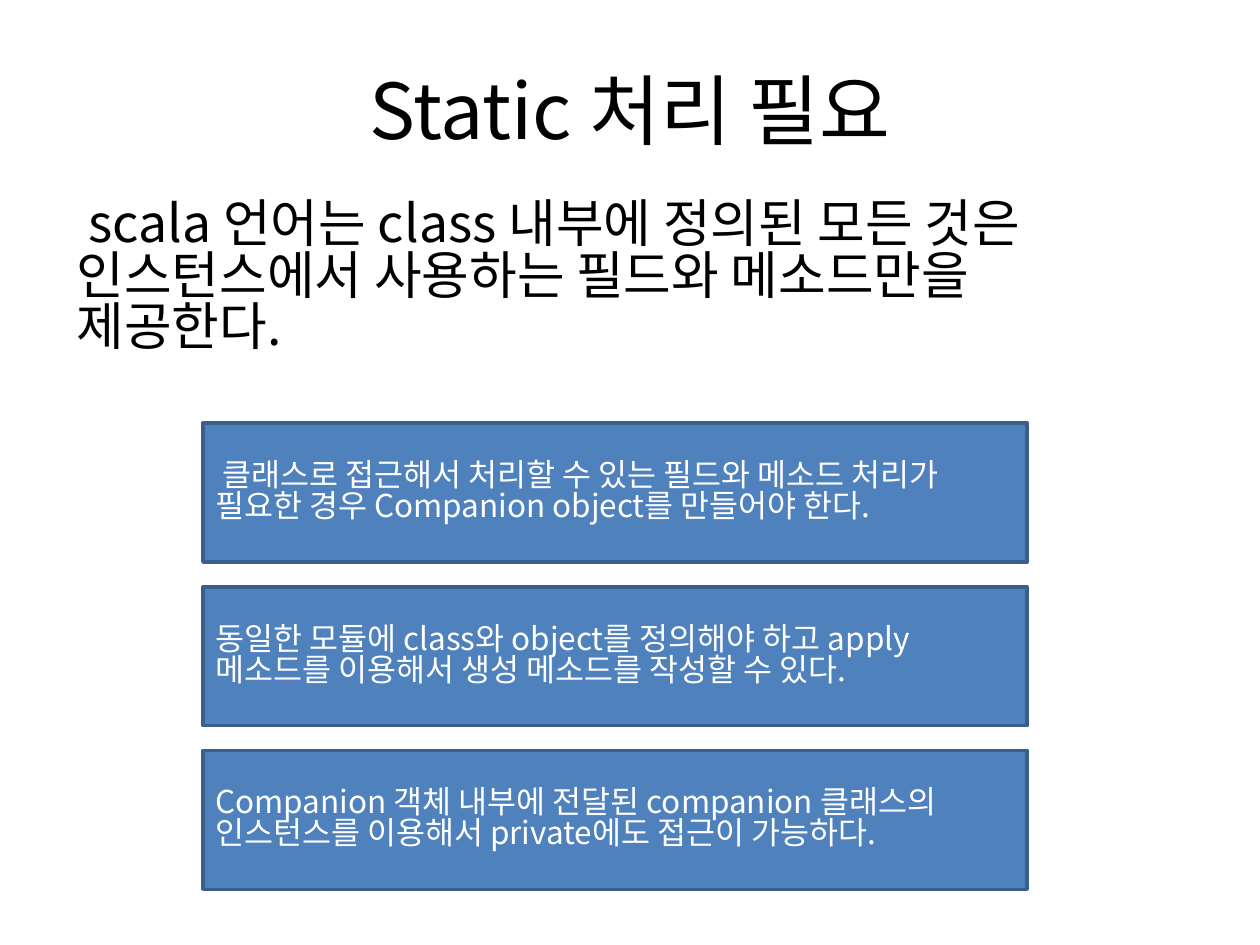
from lxml.etree import SubElement
from pptx import Presentation
from pptx.dml.color import RGBColor
from pptx.enum.shapes import MSO_SHAPE
from pptx.enum.text import MSO_ANCHOR, PP_ALIGN
from pptx.oxml.ns import qn
from pptx.util import Pt

FONT = "Noto Sans CJK KR"
BODY = " scala 언어는 class 내부에 정의된 모든 것은 인스턴스에서 사용하는 필드와 메소드만을 제공한다."
NOTES = [
    " 클래스로 접근해서 처리할 수 있는 필드와 메소드 처리가 필요한 경우 Companion object를 만들어야 한다.",
    "동일한 모듈에 class와 object를 정의해야 하고 apply 메소드를 이용해서 생성 메소드를 작성할 수 있다.",
    "Companion 객체 내부에 전달된 companion 클래스의 인스턴스를 이용해서 private에도 접근이 가능하다.",
]


def color(value):
    """Turn a hex string into a colour."""
    return RGBColor.from_string(value)


def write_text(shape, text, size=18, fill="000000", align=PP_ALIGN.LEFT,
               anchor=MSO_ANCHOR.MIDDLE, before=0, spacing=0.83):
    """Write one formatted paragraph into a shape."""
    frame = shape.text_frame
    frame.word_wrap = True
    frame.vertical_anchor = anchor
    paragraph = frame.paragraphs[0]
    paragraph.alignment = align
    paragraph.space_before = Pt(before)
    paragraph.line_spacing = spacing
    run = paragraph.add_run()
    run.text = text
    run.font.size = Pt(size)
    run.font.name = FONT
    run.font.color.rgb = color(fill)
    SubElement(run.font._element, qn("a:ea"), typeface=FONT)


def add_title(slide, text):
    """Place and fill the title placeholder."""
    title = slide.shapes.title
    title.left, title.top, title.width, title.height = Pt(36), Pt(21.6), Pt(648), Pt(90)
    write_text(title, text, size=44, align=PP_ALIGN.CENTER)


def add_body(slide, text):
    """Add the introductory text."""
    body = slide.shapes.add_textbox(Pt(36.7), Pt(111.6), Pt(635.8), Pt(104.4))
    write_text(body, text, size=29.6, anchor=MSO_ANCHOR.TOP, before=6)


def add_note(slide, text, top):
    """Add one blue note box."""
    note = slide.shapes.add_shape(MSO_SHAPE.RECTANGLE, Pt(116), Pt(top), Pt(471), Pt(79.4))
    note.shadow.inherit = False
    note.fill.solid()
    note.fill.fore_color.rgb = color("4F81BD")
    note.line.color.rgb = color("3A5F8C")
    note.line.width = Pt(2)
    write_text(note, text, fill="FFFFFF")


def main():
    """Build and save the slide."""
    presentation = Presentation()
    presentation.slide_width, presentation.slide_height = Pt(720), Pt(540)
    slide = presentation.slides.add_slide(presentation.slide_layouts[5])
    add_title(slide, "Static 처리 필요")
    add_body(slide, BODY)
    for index, text in enumerate(NOTES):
        add_note(slide, text, 241.8 + index * 93.5)
    presentation.save("out.pptx")


main()
